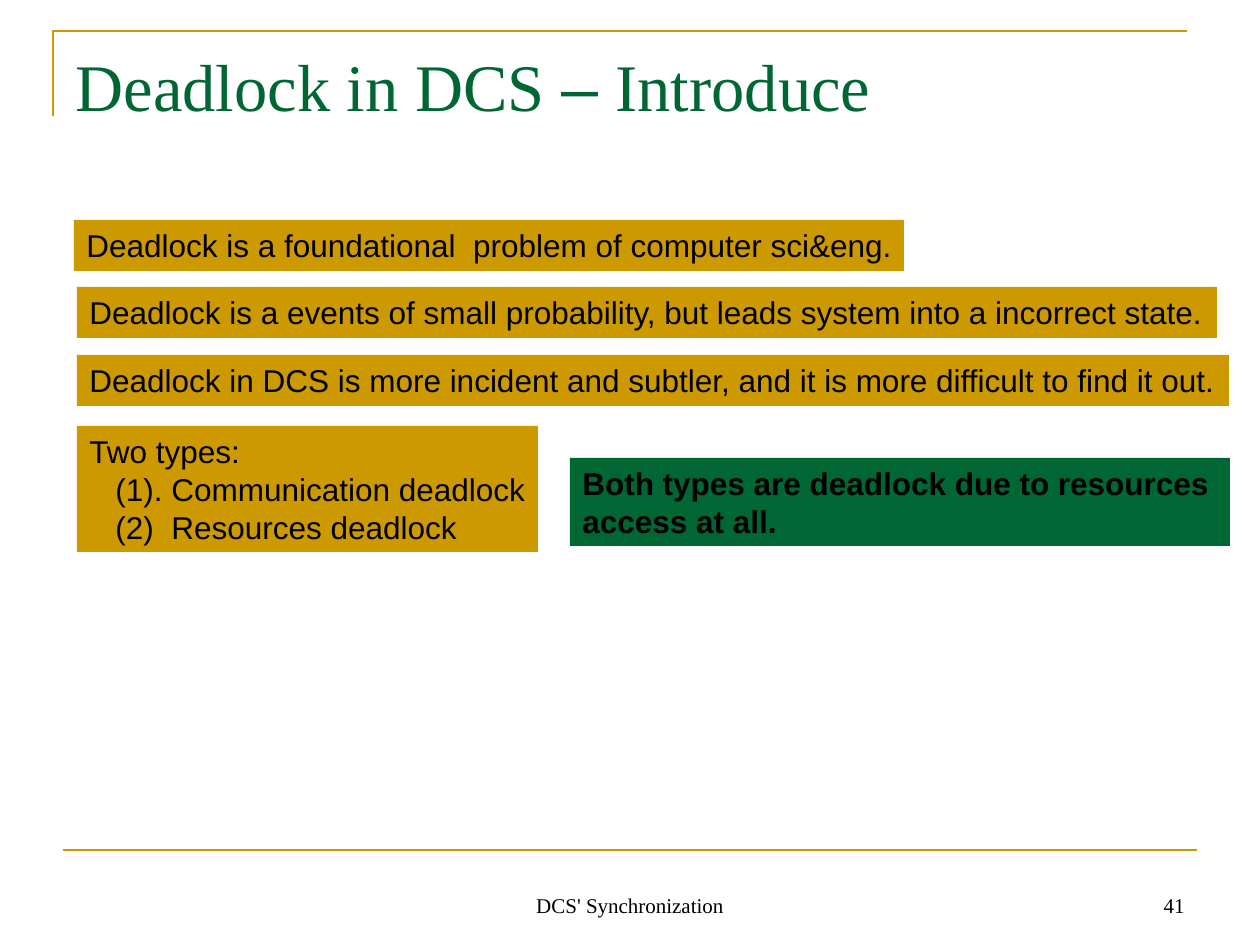
from dataclasses import dataclass

from lxml.etree import SubElement
from pptx import Presentation
from pptx.dml.color import RGBColor
from pptx.enum.shapes import MSO_CONNECTOR as Connector, MSO_SHAPE as Shape
from pptx.enum.text import MSO_ANCHOR as Anchor, MSO_AUTO_SIZE as AutoSize, PP_ALIGN as Align
from pptx.oxml.ns import qn
from pptx.util import Emu, Pt

PX_PER_INCH = 126


@dataclass(frozen=True)
class Theme:
    gold: RGBColor = RGBColor(0xCC, 0x99, 0x00)
    green: RGBColor = RGBColor(0x00, 0x66, 0x33)
    black: RGBColor = RGBColor(0x00, 0x00, 0x00)
    serif: str = "Times New Roman"
    sans: str = "Arial"
    title_size: Pt = Pt(38)
    body_size: Pt = Pt(18)
    footer_size: Pt = Pt(12)
    rule_width: Pt = Pt(1.5)


THEME = Theme()


def px(count):
    return Emu(round(count * 914400 / PX_PER_INCH))


def place(*lengths):
    return [px(length) for length in lengths]


def style_font(font, name, size, color, bold=False):
    font.name, font.size, font.bold = name, size, bold
    font.color.rgb = color


def style_rule(line):
    line.color.rgb = THEME.gold
    line.width = THEME.rule_width


def add_frame_rules(page):
    # Corner rule around the title
    builder = page.shapes.build_freeform(px(53), px(116))
    builder.add_line_segments([place(53, 31), place(1187, 31)], close=False)
    corner = builder.convert_to_shape()
    corner.shadow.inherit = False
    corner.fill.background()
    style_rule(corner.line)

    # Rule above the footer
    rule = page.shapes.add_connector(Connector.STRAIGHT, *place(63, 850, 1197, 850))
    SubElement(rule._element.spPr, qn("a:effectLst"))
    style_rule(rule.line)


def add_title(page, spans):
    title = page.shapes.title
    title.left, title.top, title.width, title.height = place(63, 38, 1134, 87)
    frame = title.text_frame
    frame.auto_size = AutoSize.NONE
    frame.vertical_anchor = Anchor.TOP
    frame.margin_top, frame.margin_bottom = px(7), 0
    para = frame.paragraphs[0]
    para.alignment = Align.LEFT
    para.line_spacing = 1.0
    for text, font_name in spans:
        span = para.add_run()
        span.text = text
        style_font(span.font, font_name, THEME.title_size, THEME.green)


def add_footer(page, text, left, width, align):
    box = page.shapes.add_textbox(*place(left, 861, width, 63))
    frame = box.text_frame
    frame.word_wrap = True
    frame.vertical_anchor = Anchor.BOTTOM
    para = frame.paragraphs[0]
    para.text = text
    para.alignment = align
    style_font(para.font, THEME.serif, THEME.footer_size, THEME.black)


def add_statement(page, lines, bounds, fill, bold=False):
    """Filled box; every line after the first is indented."""
    box = page.shapes.add_shape(Shape.RECTANGLE, *place(*bounds))
    box.shadow.inherit = False
    box.fill.solid()
    box.fill.fore_color.rgb = fill
    box.line.fill.background()
    frame = box.text_frame
    frame.word_wrap = True
    frame.auto_size = AutoSize.NONE
    frame.vertical_anchor = Anchor.TOP
    frame.margin_right = 0  # the lines nearly fill their boxes
    for index, line in enumerate(lines):
        para = frame.paragraphs[0] if index == 0 else frame.add_paragraph()
        para.text = line
        para.alignment = Align.LEFT
        if index > 0:
            para._p.get_or_add_pPr().set("marL", str(px(26)))
        style_font(para.font, THEME.sans, THEME.body_size, THEME.black, bold)


def main():
    deck = Presentation()
    deck.slide_width, deck.slide_height = place(1260, 945)
    page = deck.slides.add_slide(deck.slide_layouts[5])

    add_frame_rules(page)
    add_footer(page, "DCS' Synchronization", 430, 400, Align.CENTER)
    add_footer(page, "41", 903, 294, Align.RIGHT)
    add_title(page, [
        ("Deadlock in DCS ", THEME.serif),
        ("–", THEME.sans),
        (" Introduce", THEME.serif),
    ])

    # Statements about deadlock
    statements = [
        (["Deadlock is a foundational  problem of computer sci&eng."],
         (74, 220, 830, 51)),
        (["Deadlock is a events of small probability, but leads system into a incorrect state."],
         (77, 287, 1140, 51)),
        (["Deadlock in DCS is more incident and subtler, and it is more difficult to find it out."],
         (77, 355, 1152, 51)),
        (["Two types:", "(1). Communication deadlock", "(2)  Resources deadlock"],
         (77, 426, 461, 126)),
    ]
    for lines, bounds in statements:
        add_statement(page, lines, bounds, THEME.gold)

    # Conclusion on the two types
    add_statement(page, ["Both types are deadlock due to resources\vaccess at all."],
                  (570, 458, 660, 88), THEME.green, bold=True)

    deck.save("out.pptx")


if __name__ == "__main__":
    main()
